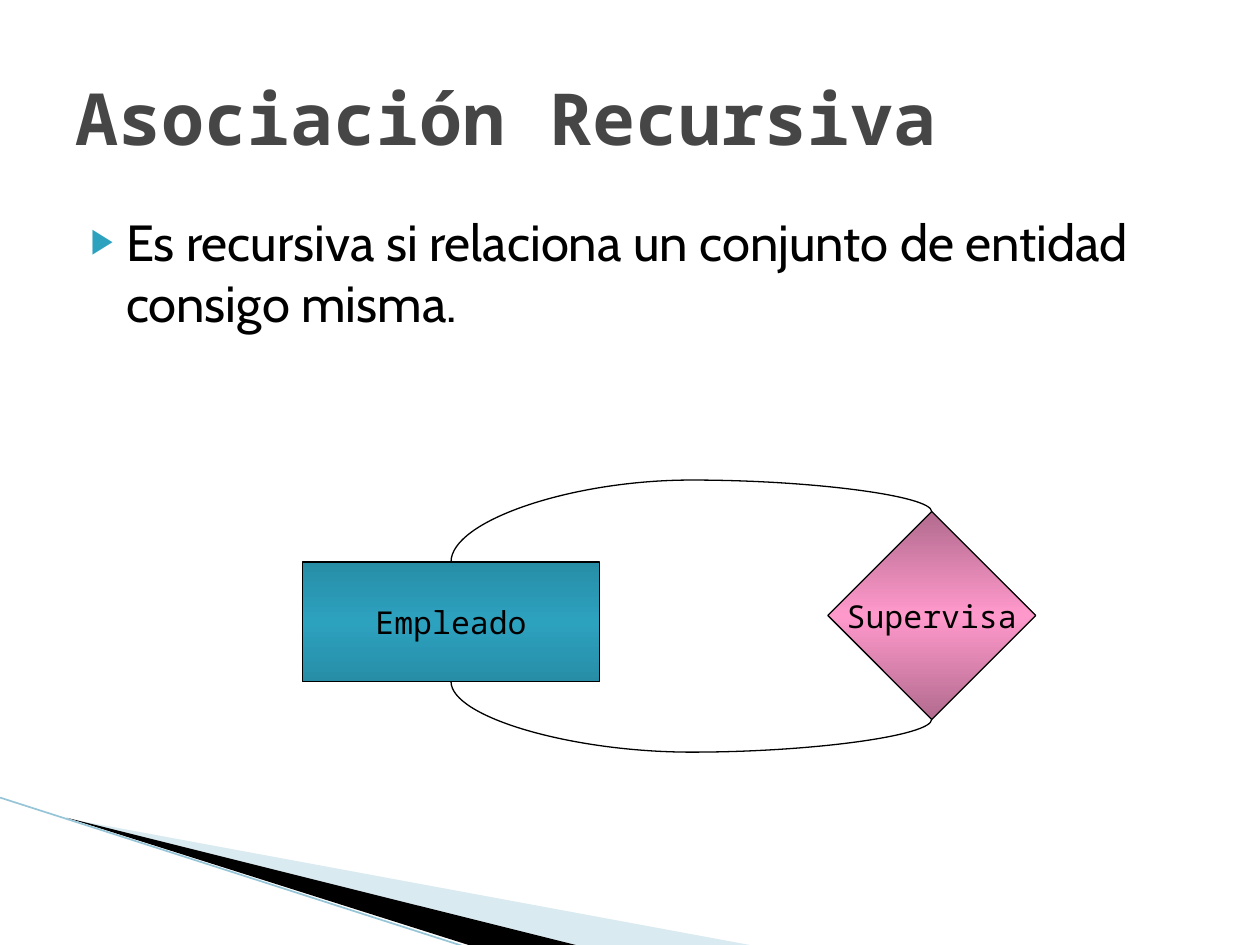
from copy import deepcopy

from lxml import etree
from pptx import Presentation
from pptx.dml.color import RGBColor
from pptx.enum import shapes, text
from pptx.oxml import parse_xml
from pptx.oxml.ns import nsdecls, qn
from pptx.util import Inches, Pt

MONO = "Noto Sans Mono"
BLACK = "000000"


def color(value):
    return RGBColor.from_string(value)


def format_text(paragraph, size, font, hex_color, bold=False):
    for run in paragraph.runs:
        run.font.size = Pt(size)
        run.font.name = font
        run.font.bold = bold
        run.font.color.rgb = color(hex_color)


def place(shape, left, top, width, height):
    shape.left, shape.top = Inches(left), Inches(top)
    shape.width, shape.height = Inches(width), Inches(height)


def set_line(shape, hex_color, width):
    shape.line.color.rgb = color(hex_color)
    shape.line.width = Pt(width)


def add_line(slide, kind, begin, end, hex_color, width):
    connector = slide.shapes.add_connector(
        kind, *[Inches(value) for value in (*begin, *end)])
    set_line(connector, hex_color, width)
    etree.SubElement(connector._element.spPr, qn("a:effectLst"))
    return connector


# Corner decoration
def add_wedge(slide, points, hex_color, opacity=100):
    builder = slide.shapes.build_freeform(
        Inches(points[0][0]), Inches(points[0][1]))
    builder.add_line_segments(
        [(Inches(x), Inches(y)) for x, y in points[1:]], close=True)
    wedge = builder.convert_to_shape()
    wedge.shadow.inherit = False
    wedge.line.fill.background()
    wedge.fill.solid()
    wedge.fill.fore_color.rgb = color(hex_color)
    if opacity < 100:
        srgb = wedge._element.spPr.find(".//" + qn("a:srgbClr"))
        etree.SubElement(srgb, qn("a:alpha"), val=str(opacity * 1000))


def add_corner(slide):
    add_wedge(slide, [(0.55, 6.5), (5.95, 7.5), (4.56, 7.5)], "A0CBDC", 40)
    add_wedge(slide, [(0.53, 6.49), (4.57, 7.5), (3.72, 7.5)], BLACK)
    add_line(slide, shapes.MSO_CONNECTOR.STRAIGHT,
             (0, 6.33), (3.71, 7.52), "97C5D8", 0.95)


# Title and bullet
def fill_title(title, box):
    place(title, *box)
    title.text_frame.text = "Asociación Recursiva"
    title.text_frame.vertical_anchor = text.MSO_ANCHOR.MIDDLE
    paragraph = title.text_frame.paragraphs[0]
    paragraph.alignment = text.PP_ALIGN.LEFT
    format_text(paragraph, 41, MONO, "464646", bold=True)


def fill_body(body, box):
    place(body, *box)
    body.text_frame.text = ("Es recursiva si relaciona un conjunto "
                            "de entidad consigo misma.")
    paragraph = body.text_frame.paragraphs[0]
    paragraph.space_before = Pt(4)
    format_text(paragraph, 29, "Cabin", BLACK)
    properties = paragraph._p.get_or_add_pPr()
    properties.set("marL", str(Inches(0.4)))
    properties.set("indent", str(Inches(-0.28)))
    for bullet in (
            '<a:buClr %s><a:srgbClr val="2DA2BF"/></a:buClr>',
            '<a:buSzPct %s val="68000"/>',
            '<a:buChar %s char="▶"/>'):
        properties.append(parse_xml(bullet % nsdecls("a")))


# Entity diagram
def add_node(slide, kind, box, label, edge, middle):
    node = slide.shapes.add_shape(kind, *[Inches(value) for value in box])
    node.shadow.inherit = False
    set_line(node, BLACK, 0.75)
    node.fill.gradient()
    node.fill.gradient_angle = 90
    for stop, position, value in zip(
            node.fill.gradient_stops, (0, 0.5), (edge, middle)):
        stop.color.rgb = color(value)
        stop.position = position
    stops = node._element.spPr.find(".//" + qn("a:gsLst"))
    last = deepcopy(stops[0])
    last.set("pos", "100000")
    stops.append(last)
    frame = node.text_frame
    frame.text = label
    frame.word_wrap = False
    frame.vertical_anchor = text.MSO_ANCHOR.MIDDLE
    frame.paragraphs[0].alignment = text.PP_ALIGN.CENTER
    format_text(frame.paragraphs[0], 18, MONO, BLACK)


def add_loop(slide, start, end, bulge):
    """Curve that leaves and arrives vertically, reaching y = bulge."""
    center_x = (start[0] + end[0]) / 2
    center_y = (start[1] + end[1]) / 2
    # Ends before the frame is turned by 270 degrees
    begin, finish = [(center_x + center_y - y, center_y + x - center_x)
                     for x, y in (start, end)]
    curve = add_line(slide, shapes.MSO_CONNECTOR.CURVE,
                     begin, finish, BLACK, 0.75)
    properties = curve._element.spPr
    properties.find(qn("a:xfrm")).set("rot", str(270 * 60000))
    adjust = round((bulge - start[1]) / (end[1] - start[1]) * 100000)
    guides = properties.find(qn("a:prstGeom")).find(qn("a:avLst"))
    etree.SubElement(guides, qn("a:gd"), name="adj1", fmla=f"val {adjust}")


def add_diagram(slide, left, top):
    entity = (left, top + 0.65, 2.36, 0.95)
    relation = (left + 4.17, top + 0.25, 1.65, 1.65)
    add_node(slide, shapes.MSO_SHAPE.RECTANGLE, entity,
             "Empleado", "278DA7", "2DA2BF")
    add_node(slide, shapes.MSO_SHAPE.DIAMOND, relation,
             "Supervisa", "B26B8E", "FF99CC")
    for side, bulge in ((0, top), (1, top + 2.16)):
        start, end = [(x + width / 2, y + side * height)
                      for x, y, width, height in (entity, relation)]
        add_loop(slide, start, end, bulge)


presentation = Presentation()
presentation.slide_width, presentation.slide_height = Inches(10), Inches(7.5)
slide = presentation.slides.add_slide(presentation.slide_layouts[1])
add_corner(slide)
fill_title(slide.shapes.title, (0.5, 0.3, 9, 1.25))
fill_body(slide.placeholders[1], (0.5, 1.62, 9, 1.5))
add_diagram(slide, 2.4, 3.81)
presentation.save("out.pptx")
